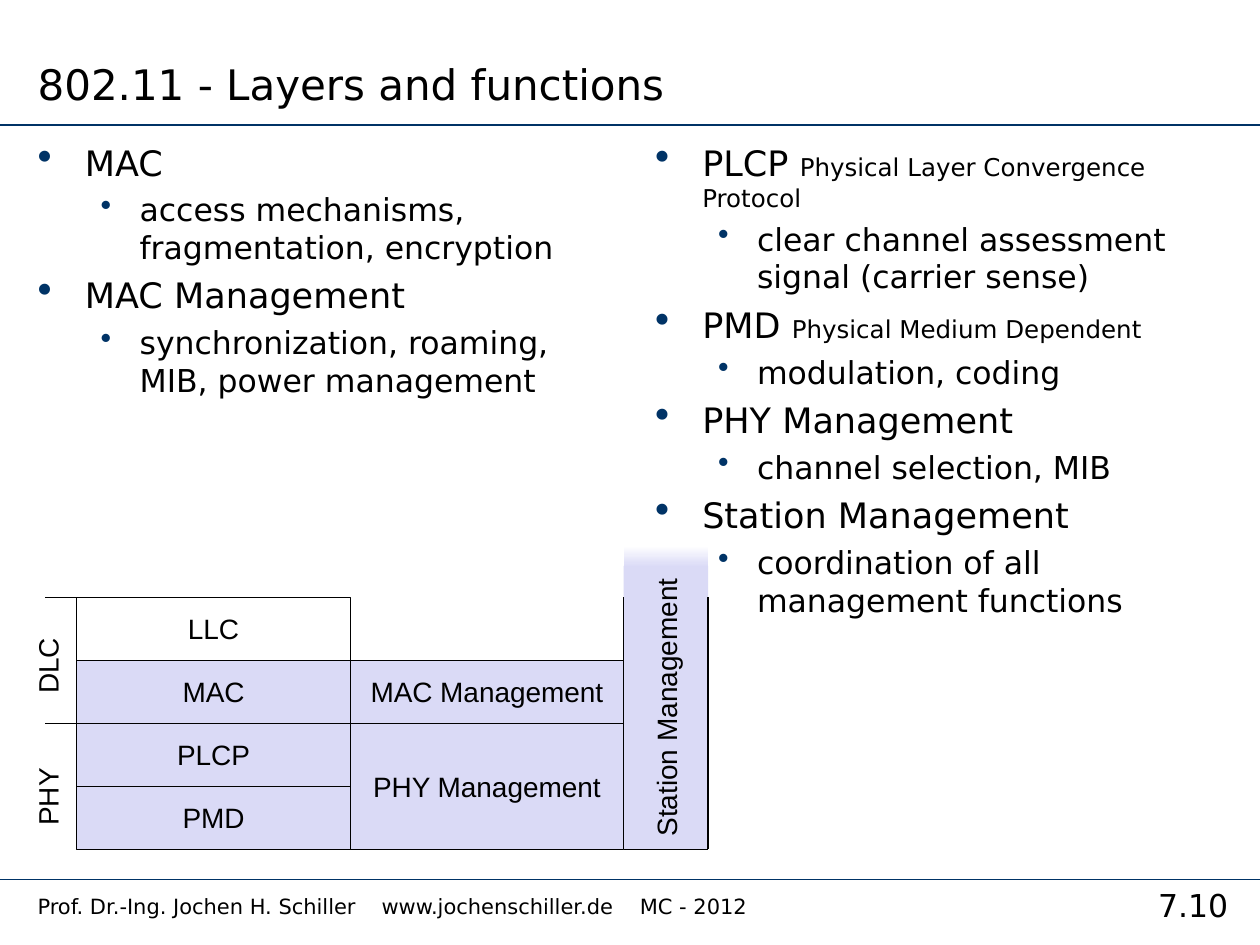
from lxml.etree import SubElement
from pptx import Presentation
from pptx.dml.color import RGBColor
from pptx.enum.shapes import MSO_CONNECTOR as Connector, MSO_SHAPE as Shape
from pptx.enum.text import MSO_ANCHOR as Anchor, PP_ALIGN as Align
from pptx.oxml.ns import qn
from pptx.util import Inches, Pt

BLACK = RGBColor(0x00, 0x00, 0x00)
WHITE = RGBColor(0xFF, 0xFF, 0xFF)
NAVY = RGBColor(0x00, 0x33, 0x66)
LILAC = RGBColor(0xDA, 0xDA, 0xF6)
TEXT_FONT, LABEL_FONT = "DejaVu Sans", "Arial"
COLUMNS, ROWS = 100, 75  # page grid, one unit is a tenth of an inch


def unit(count):
    return Inches(count / 10)


class LectureSlide:
    """Style of the lecture and the slide being filled; lengths are grid units."""

    def __init__(self, deck):
        self.page = deck.slides.add_slide(deck.slide_layouts[6])
        self.shapes = self.page.shapes

    def style(self, font, size, name=TEXT_FONT):
        font.name, font.size, font.color.rgb = name, Pt(size), BLACK

    def line(self, start, end, color=BLACK, width=0.75):
        line = self.shapes.add_connector(Connector.STRAIGHT, *map(unit, start + end))
        line.line.color.rgb, line.line.width = color, Pt(width)
        SubElement(line._element.spPr, qn("a:effectLst"))

    def text(self, place, words, size, name=TEXT_FONT, anchor=Anchor.TOP,
             align=Align.LEFT, wrap=True, rotation=0, tabs=()):
        box = self.shapes.add_textbox(*map(unit, place))
        box.rotation = rotation
        frame = box.text_frame
        frame.word_wrap, frame.vertical_anchor = wrap, anchor
        frame.text = words
        para = frame.paragraphs[0]
        para.alignment = align
        if tabs:
            stops = SubElement(para._p.get_or_add_pPr(), qn("a:tabLst"))
            for stop in tabs:
                SubElement(stops, qn("a:tab"), pos=str(unit(stop)), algn="l")
        self.style(para.runs[0].font, size, name)

    def block(self, place, words="", fill=LILAC, border=True, turned=False):
        block = self.shapes.add_shape(Shape.RECTANGLE, *map(unit, place))
        block.shadow.inherit = False
        block.fill.solid()
        block.fill.fore_color.rgb = fill
        if border:
            block.line.color.rgb, block.line.width = BLACK, Pt(0.75)
        else:
            block.line.fill.background()
        if words:
            frame = block.text_frame
            frame.text = words
            frame.word_wrap, frame.vertical_anchor = False, Anchor.MIDDLE
            frame.paragraphs[0].alignment = Align.CENTER
            self.style(frame.paragraphs[0].runs[0].font, 16, LABEL_FONT)
            if turned:
                frame._txBody.bodyPr.set("vert", "vert270")
        return block

    def fade(self, place):
        fill = self.block(place, border=False).fill
        fill.gradient()
        fill.gradient_angle = 270
        for stop, color, position in zip(fill.gradient_stops, (WHITE, LILAC), (0, 1)):
            stop.color.rgb, stop.position = color, position

    def bullets(self, place, items):
        """Each item is (level, main words, small words)."""
        frame = self.shapes.add_textbox(*map(unit, place)).text_frame
        frame.word_wrap = True
        for index, (level, words, small) in enumerate(items):
            para = frame.add_paragraph() if index else frame.paragraphs[0]
            size, margin, hang = ((20, 3.75, 3.75), (18, 8.1, 3.1))[level]
            para.level = level
            para.space_before = Pt(0.23 * size if index else 0)
            props = para._p.get_or_add_pPr()
            props.set("marL", str(unit(margin)))
            props.set("indent", str(-unit(hang)))
            color = SubElement(props, qn("a:buClr"))
            SubElement(color, qn("a:srgbClr"), val=str(NAVY))
            SubElement(props, qn("a:buSzPct"), val="100000" if level else "120000")
            SubElement(props, qn("a:buChar"), char="•")
            for part, part_size in ((words, size), (small, 14)):
                if part:
                    span = para.add_run()
                    span.text = part
                    self.style(span.font, part_size)


def main():
    deck = Presentation()
    deck.slide_width, deck.slide_height = unit(COLUMNS), unit(ROWS)
    slide = LectureSlide(deck)

    # Rules, title and footer
    for height in (9.9, 69.8):
        slide.line((0, height), (COLUMNS, height), NAVY, 1)
    slide.text((2, 0, 66.1, 9.1), "802.11 - Layers and functions", 24,
               anchor=Anchor.BOTTOM)
    slide.text((2, 70.4, 87.4, 3.3),
               "Prof. Dr.-Ing. Jochen H. Schiller\twww.jochenschiller.de\tMC - 2012",
               12, tabs=(27.3, 47.8))
    slide.text((89.4, 69.8, 10.6, 4), "7.10", 18, align=Align.CENTER)

    # Two columns of bullets
    slide.bullets((2, 10.7, 47.1, 26.2), [
        (0, "MAC", ""),
        (1, "access mechanisms, fragmentation, encryption", ""),
        (0, "MAC Management", ""),
        (1, "synchronization, roaming, MIB, power management", ""),
    ])
    slide.bullets((51, 10.7, 47.1, 34), [
        (0, "PLCP ", "Physical Layer Convergence Protocol"),
        (1, "clear channel assessment signal (carrier sense)", ""),
        (0, "PMD ", "Physical Medium Dependent"),
        (1, "modulation, coding", ""),
        (0, "PHY Management", ""),
        (1, "channel selection, MIB", ""),
        (0, "Station Management", ""),
        (1, "coordination of all management functions", ""),
    ])

    # Layer diagram: two block columns and four rows
    left, top, width, height = 6.1, 47.4, 21.7, 5
    layers = [
        (0, 0, 1, "LLC", WHITE),
        (0, 1, 1, "MAC", LILAC),
        (0, 2, 1, "PLCP", LILAC),
        (0, 3, 1, "PMD", LILAC),
        (1, 1, 1, "MAC Management", LILAC),
        (1, 2, 2, "PHY Management", LILAC),
    ]
    for column, row, span, words, fill in layers:
        slide.block((left + column * width, top + row * height, width, span * height),
                    words, fill)

    # Bracket ticks and turned labels left of the layers
    for row, words, middle in ((0, "DLC", 52.85), (2, "PHY", 63.25)):
        slide.line((left - 2.5, top + row * height), (left, top + row * height))
        slide.text((0.5, middle - 1.85, 6.6, 3.7), words, 16, LABEL_FONT,
                   align=Align.CENTER, wrap=False, rotation=270)

    # Station management: open-topped column that fades out
    near, bottom, breadth = left + 2 * width, top + 4 * height, 6.7
    far = near + breadth
    slide.block((near, top - 2.5, breadth, 22.5), "Station Management",
                border=False, turned=True)
    for start, end in (((near, top), (near, bottom)),
                       ((far, top), (far, bottom)),
                       ((near, bottom), (far, bottom))):
        slide.line(start, end)
    slide.fade((near, top - 4.1, breadth, 1.7))

    deck.save("out.pptx")


if __name__ == "__main__":
    main()
